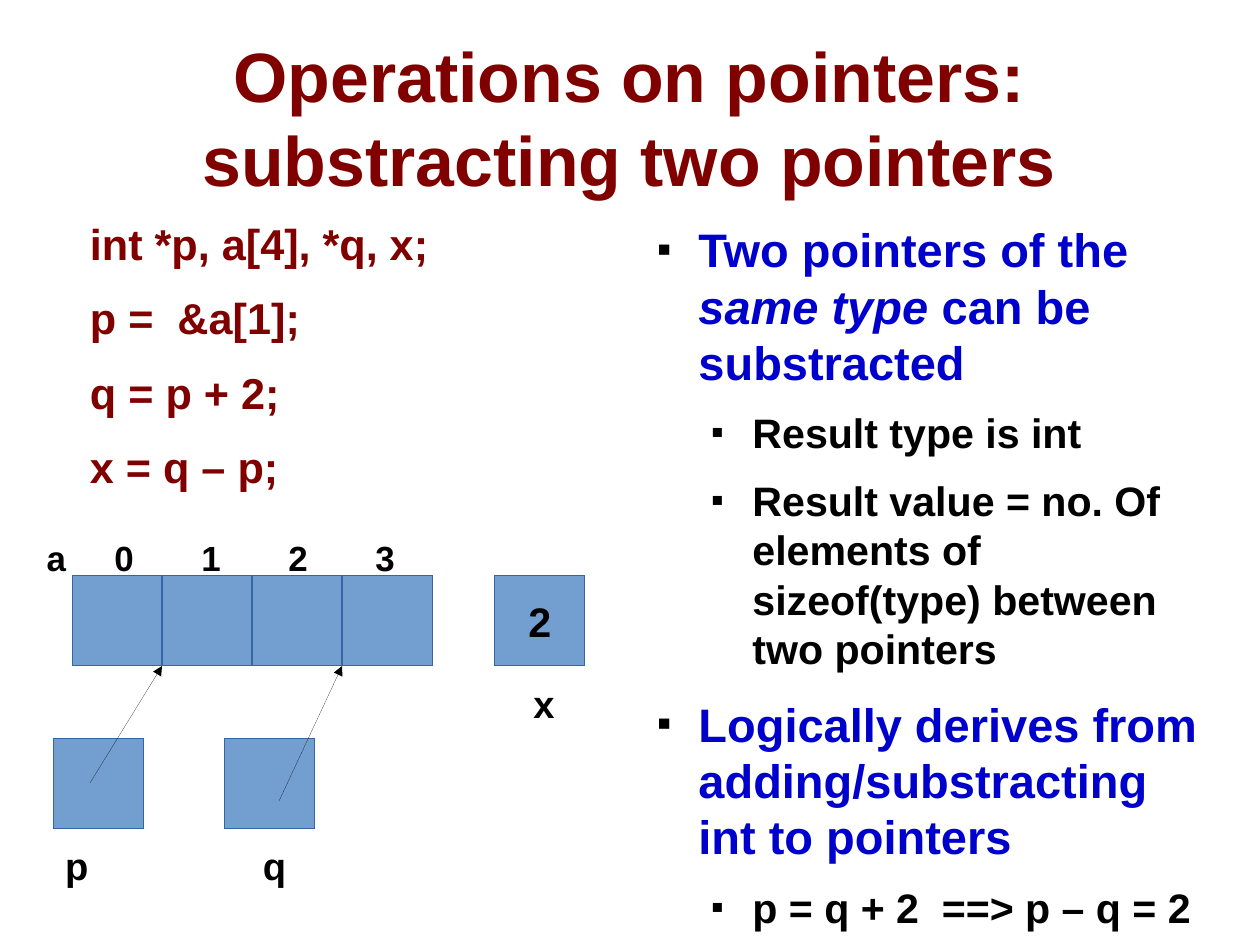
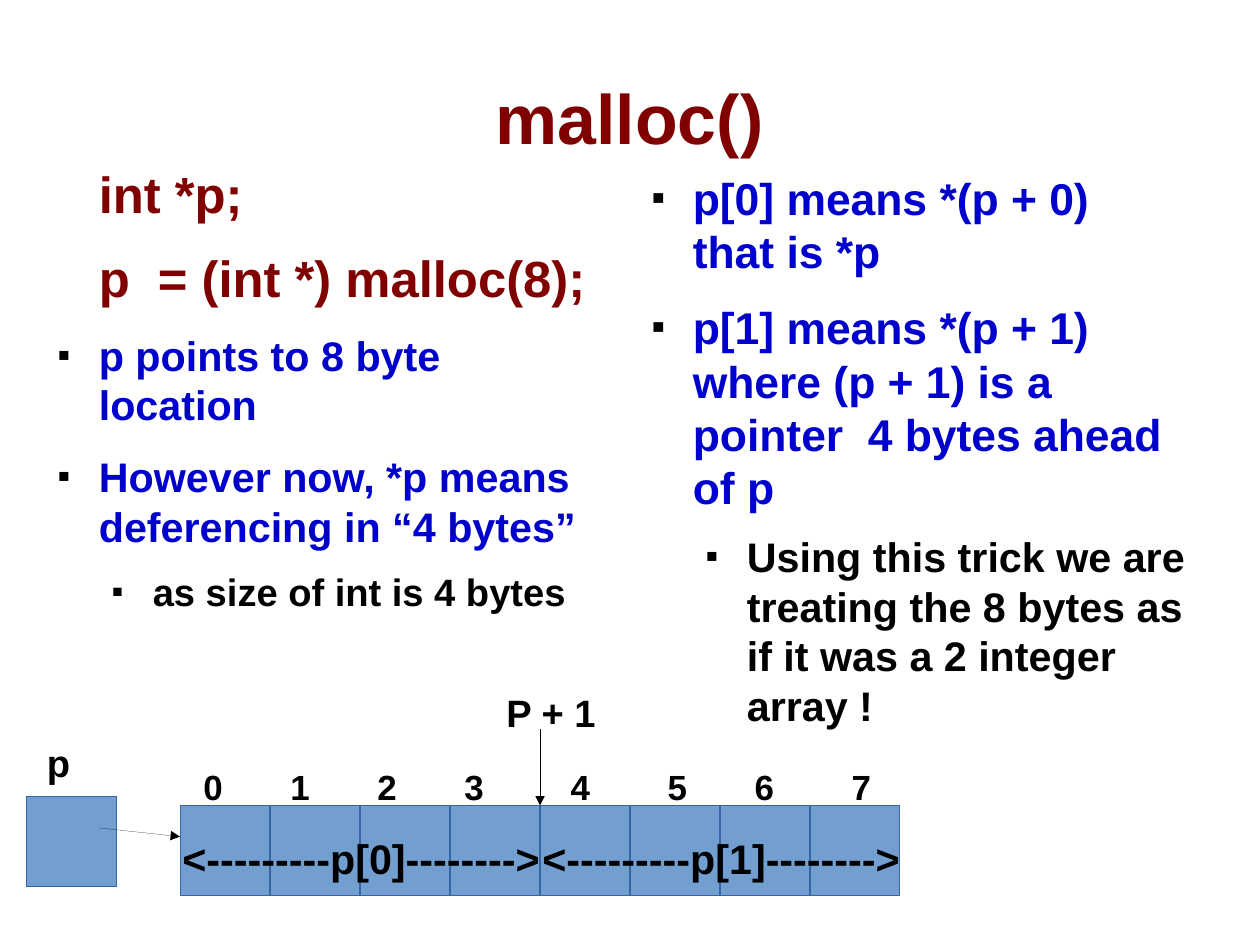
"""Build two slides about pointer subtraction and malloc()."""
import pptx
import pptx.util
import pptx.dml.color
import pptx.enum.shapes
import pptx.enum.text
import pptx.oxml.ns
import lxml.etree

Pt = pptx.util.Pt
COLOURS = {"title": "800000", "point": "0000CC", "text": "000000",
           "cell": "729FCF", "edge": "3465A4"}
CELL = 56.7
LABEL_INSETS = (7.2, 3.6)
ALIGN = pptx.enum.text.PP_ALIGN
ANCHOR = pptx.enum.text.MSO_ANCHOR
STYLES = {
    "title": {"colour": "title", "align": ALIGN.CENTER},
    "code": {"colour": "title", "before": 14.2},
    "indented code": {"colour": "title", "before": 14.2, "margin": 34},
    "point": {"colour": "point", "before": 14.2, "margin": 34, "bullet": True},
    "detail": {"colour": "text", "before": 11.3, "margin": 68, "bullet": True, "level": 1},
    "label": {"colour": "text"},
    "centred": {"colour": "text", "align": ALIGN.CENTER},
}


def set_values(target, values):
    """Set each named attribute of the target."""
    for name, value in values.items():
        setattr(target, name, value)


def write_text(shape, paragraphs, insets=(0, 0), anchor=ANCHOR.TOP):
    """Fill a shape with (style, size, text); text between bars is italic."""
    frame = shape.text_frame
    across, down = insets
    set_values(frame, {"word_wrap": True, "vertical_anchor": anchor,
                       "margin_left": Pt(across), "margin_right": Pt(across),
                       "margin_top": Pt(down), "margin_bottom": Pt(down)})
    for number, (style_name, size, text) in enumerate(paragraphs):
        style = STYLES[style_name]
        paragraph = frame.add_paragraph() if number else frame.paragraphs[0]
        set_values(paragraph, {"alignment": style.get("align", ALIGN.LEFT),
                               "level": style.get("level", 0),
                               "space_before": Pt(style.get("before", 0))})
        properties = paragraph._p.get_or_add_pPr()
        properties.set("marL", str(Pt(style.get("margin", 0))))
        properties.set("indent", str(Pt(-25.5 if "bullet" in style else 0)))
        if "bullet" in style:
            bullet_colour = lxml.etree.SubElement(properties, pptx.oxml.ns.qn("a:buClr"))
            for parent, tag, attribute, value in (
                    (bullet_colour, "a:srgbClr", "val", COLOURS["text"]),
                    (properties, "a:buSzPct", "val", "45000"),
                    (properties, "a:buFont", "typeface", "Arial"),
                    (properties, "a:buChar", "char", "■")):
                lxml.etree.SubElement(parent, pptx.oxml.ns.qn(tag)).set(attribute, value)
        for part, words in enumerate(text.split("|")):
            run = paragraph.add_run()
            run.text = words
            set_values(run.font, {"name": "Arial", "size": Pt(size), "bold": True,
                                  "italic": part % 2 == 1})
            run.font.color.rgb = pptx.dml.color.RGBColor.from_string(COLOURS[style["colour"]])


SLIDES = [
    {
        "title": "Operations on pointers: substracting two pointers",
        "bodies": [
            ((56.7, 136.8, 215.5, 147), [
                ("code", 27.2, "int *p, a[4], *q, x;"),
                ("code", 27.2, "p =  &a[1];"),
                ("code", 27.2, "q = p + 2;"),
                ("code", 27.2, "x = q – p;")]),
            ((406, 139, 359.5, 439), [
                ("point", 29.6, "Two pointers of the |same type| can be substracted"),
                ("detail", 25.9, "Result type is int"),
                ("detail", 25.9, "Result value = no. Of elements of sizeof(type) "
                                 "between two pointers"),
                ("point", 29.6, "Logically derives from adding/substracting int to pointers"),
                ("detail", 25.9, "p = q + 2  ==> p – q = 2")]),
        ],
        "cells": [(34, 465, 1, ""), (141.7, 465, 1, ""), (45.4, 362.8, 4, ""),
                  (311.8, 362.8, 1, "2")],
        "arrows": [(56.7, 493.2, 102.1, 419.5), (175.7, 504.7, 215.5, 419.5)],
        "index_top": 334.5,
        "indexes": [("a", 35.5), ("0", 78.2), ("1", 133), ("2", 187.8), ("3", 242.6)],
        "labels": [(34, 527, 28, 24, "p"), (158.6, 527, 28, 24, "q"), (329, 425.2, 28, 24, "x")],
    },
    {
        "title": "malloc()",
        "bodies": [
            ((28.3, 102.7, 348.5, 345), [
                ("indented code", 32, "int *p;"),
                ("indented code", 32, "p  = (int *) malloc(8);"),
                ("point", 26, "p points to 8 byte location"),
                ("point", 26, "However now, *p means deferencing in “4 bytes”"),
                ("detail", 24, "as size of int is 4 bytes")]),
            ((402.5, 107.7, 348.5, 345), [
                ("point", 28, "p[0] means *(p + 0)  that is *p"),
                ("point", 28, "p[1] means *(p + 1) where (p + 1) is a pointer  "
                              "4 bytes ahead of p"),
                ("detail", 26, "Using this trick we are treating the 8 bytes as if it "
                               "was a 2 integer array !")]),
        ],
        "cells": [(17, 501.7, 1, ""), (113.4, 507.4, 8, "")],
        "arrows": [(62.4, 521.5, 113.4, 527), (340.2, 459.2, 340.2, 507.4)],
        "index_top": 478.8,
        "indexes": [("0", 134.2), ("1", 189), ("2", 243.8), ("3", 298.6),
                    ("4", 365.6), ("5", 426.6), ("6", 481.4), ("7", 542.5)],
        "labels": [(22.5, 462, 28, 24, "p"), (311.8, 430.5, 73.5, 24, "P + 1"),
                   (107.8, 521.3, 244, 26, "<---------p[0]-------->"),
                   (334.6, 521.3, 244, 26, "<---------p[1]-------->")],
    },
]

presentation = pptx.Presentation()
set_values(presentation, {"slide_width": Pt(793.7), "slide_height": Pt(595.25)})

for content in SLIDES:
    slide = presentation.slides.add_slide(presentation.slide_layouts[6])
    shapes = slide.shapes
    title = shapes.add_textbox(Pt(39.6), Pt(23.8), Pt(714.2), Pt(99.4))
    write_text(title, [("title", 44, content["title"])], anchor=ANCHOR.MIDDLE)

    for bounds, paragraphs in content["bodies"]:
        write_text(shapes.add_textbox(*map(Pt, bounds)), paragraphs)

    for left, top, count, text in content["cells"]:
        for column in range(count):
            cell = shapes.add_shape(pptx.enum.shapes.MSO_SHAPE.RECTANGLE,
                                    Pt(left + column * CELL), Pt(top), Pt(CELL), Pt(CELL))
            cell.shadow.inherit = False
            for paint, colour in ((cell.fill, "cell"), (cell.line.fill, "edge")):
                paint.solid()
                paint.fore_color.rgb = pptx.dml.color.RGBColor.from_string(COLOURS[colour])
            cell.line._get_or_add_ln().set("w", "0")
            if text:
                write_text(cell, [("centred", 26, text)], LABEL_INSETS, ANCHOR.MIDDLE)

    for ends in content["arrows"]:
        arrow = shapes.add_connector(pptx.enum.shapes.MSO_CONNECTOR.STRAIGHT, *map(Pt, ends))
        arrow.line.color.rgb = pptx.dml.color.RGBColor.from_string(COLOURS["text"])
        outline = arrow.line._get_or_add_ln()
        outline.set("w", "0")
        head = lxml.etree.SubElement(outline, pptx.oxml.ns.qn("a:tailEnd"))
        head.set("type", "triangle")
        lxml.etree.SubElement(arrow._element.spPr, pptx.oxml.ns.qn("a:effectLst"))

    for text, centre in content["indexes"]:
        index = shapes.add_textbox(Pt(centre - 20), Pt(content["index_top"]), Pt(40), Pt(31.7))
        write_text(index, [("centred", 22, text)], LABEL_INSETS)

    for left, top, width, size, text in content["labels"]:
        label = shapes.add_textbox(Pt(left), Pt(top), Pt(width), Pt(36))
        write_text(label, [("label", size, text)], LABEL_INSETS)

presentation.save("out.pptx")
